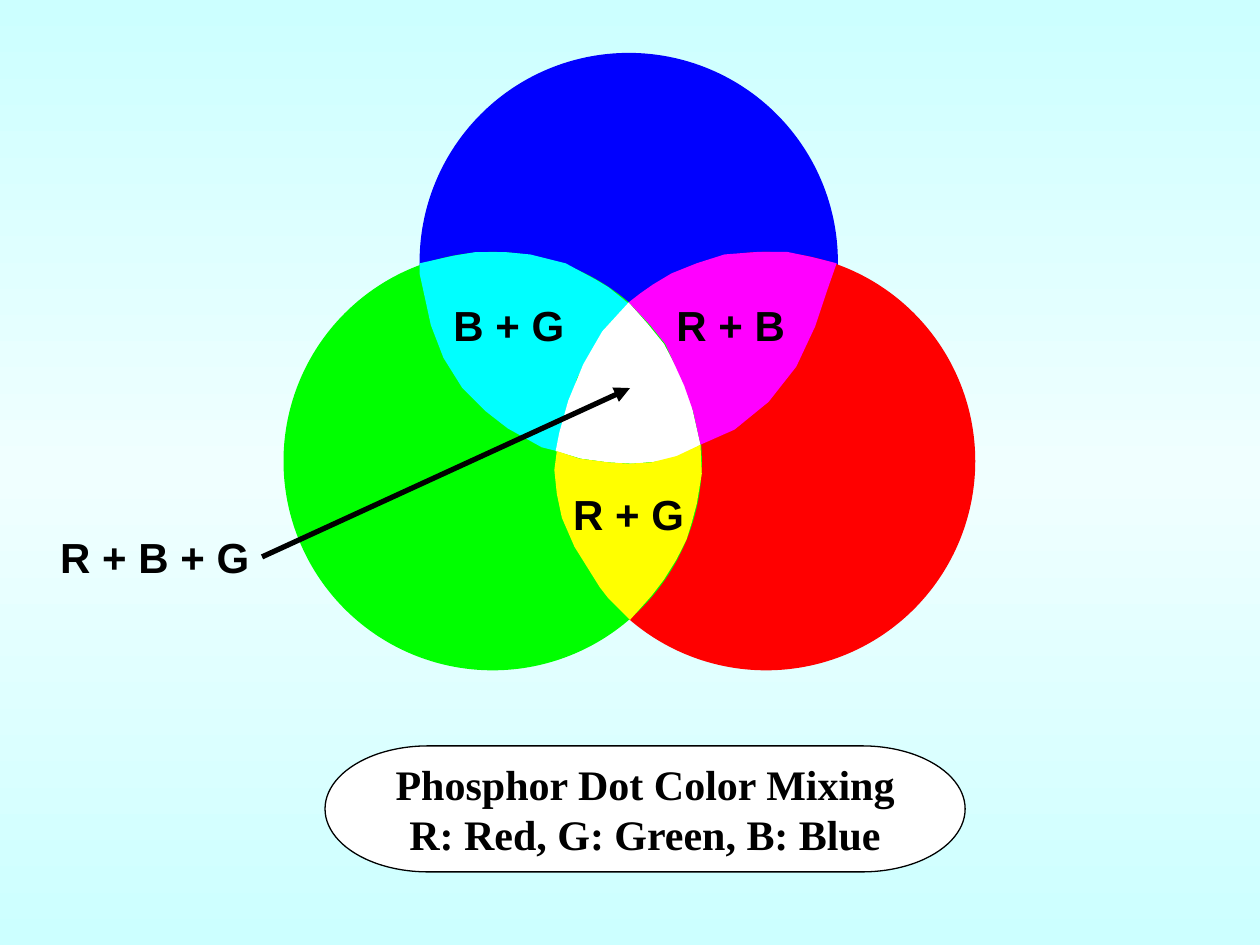
"""Build a slide on mixing the red, green and blue of phosphor dots."""
import copy

import pptx
import pptx.dml.color
import pptx.enum.shapes
import pptx.enum.text
import pptx.util

Inches = pptx.util.Inches
SHAPES = pptx.enum.shapes.MSO_SHAPE

COLORS = {
    "sky": "CCFFFF", "pale": "F0FFFF", "black": "000000", "white": "FFFFFF",
    "blue": "0000FF", "red": "FF0000", "green": "00FF00",
    "cyan": "00FFFF", "magenta": "FF00FF", "yellow": "FFFF00",
}
BACKGROUND = [(0, "sky"), (0.5, "pale"), (1, "sky")]
DIAMETER = 3.32
CIRCLES = [("blue", 3.33, 0.42), ("red", 4.42, 2), ("green", 2.25, 2)]
OVERLAPS = {
    "cyan": [
        (3.33, 2.17), (3.37, 2.35), (3.42, 2.58), (3.52, 2.84), (3.67, 3.08), (3.85, 3.26),
        (4.03, 3.4), (4.3, 3.55), (4.42, 3.58), (4.58, 3), (4.8, 2.61), (4.99, 2.41),
        (4.83, 2.28), (4.73, 2.22), (4.49, 2.09), (4.21, 2.02), (4, 2), (3.78, 2),
        (3.6, 2.03), (3.33, 2.09),
    ],
    "white": [
        (4.99, 2.4), (4.78, 2.63), (4.63, 2.89), (4.51, 3.18), (4.44, 3.43), (4.41, 3.58),
        (4.61, 3.64), (4.83, 3.67), (5.02, 3.68), (5.25, 3.66), (5.41, 3.61), (5.56, 3.53),
        (5.46, 3.09), (5.27, 2.73), (5.14, 2.57),
    ],
    "magenta": [
        (6.64, 2.09), (6.44, 2.04), (6.25, 2), (6.01, 2), (5.75, 2.02), (5.53, 2.09),
        (5.33, 2.17), (5.18, 2.26), (5.08, 2.33), (4.99, 2.4), (5.16, 2.58), (5.28, 2.73),
        (5.43, 3.06), (5.5, 3.26), (5.56, 3.53), (5.83, 3.41), (6.1, 3.19), (6.32, 2.91),
        (6.47, 2.59), (6.57, 2.29),
    ],
    "yellow": [
        (4.42, 3.58), (4.4, 3.73), (4.42, 3.92), (4.46, 4.11), (4.56, 4.34), (4.76, 4.66),
        (4.83, 4.75), (5, 4.92), (5.17, 4.73), (5.27, 4.6), (5.37, 4.44), (5.45, 4.28),
        (5.49, 4.15), (5.53, 4), (5.57, 3.76), (5.56, 3.53), (5.37, 3.62), (5.17, 3.67),
        (4.99, 3.68), (4.83, 3.67), (4.6, 3.64),
    ],
}
LABELS = [
    ("R + B", 5.27, 2.33, 1.06),
    ("B + G", 3.5, 2.33, 1.08),
    ("R + G", 4.45, 3.83, 1.08),
]
MIX_LABEL = ("R + B + G", 0.38, 4.17, 1.7)
ARROW = (2.08, 4.42, 5, 3.08)
CAPTION_BOX = (2.58, 5.92, 5.08, 1)
CAPTION = ["Phosphor Dot Color Mixing", "R: Red, G: Green, B: Blue"]


def rgb(name):
    return pptx.dml.color.RGBColor.from_string(COLORS[name])


def paint(shape, color):
    shape.shadow.inherit = False
    shape.fill.solid()
    shape.fill.fore_color.rgb = rgb(color)
    shape.line.fill.background()


def add_run(paragraph, text, font_name):
    run = paragraph.add_run()
    run.text = text
    run.font.name = font_name
    run.font.size = pptx.util.Pt(24)
    run.font.bold = True
    run.font.color.rgb = rgb("black")


def paint_background(slide):
    fill = slide.background.fill
    fill.gradient()
    fill.gradient_angle = 270
    stop_list = slide.element.xpath(".//a:gsLst")[0]
    stop_list.append(copy.deepcopy(stop_list[-1]))
    for stop, (position, color) in zip(fill.gradient_stops, BACKGROUND):
        stop.position = position
        stop.color.rgb = rgb(color)


def add_overlap(shapes, color, points):
    start, *others = [(Inches(x), Inches(y)) for x, y in points]
    builder = shapes.build_freeform(*start)
    builder.add_line_segments(others, close=True)
    paint(builder.convert_to_shape(), color)


def add_label(shapes, text, left, top, width):
    box = shapes.add_textbox(Inches(left), Inches(top), Inches(width), Inches(0.5))
    frame = box.text_frame
    frame.word_wrap = False
    frame.auto_size = pptx.enum.text.MSO_AUTO_SIZE.SHAPE_TO_FIT_TEXT
    add_run(frame.paragraphs[0], text, "Arial")


def add_arrow(shapes):
    straight = pptx.enum.shapes.MSO_CONNECTOR.STRAIGHT
    arrow = shapes.add_connector(straight, *map(Inches, ARROW))
    arrow.line.color.rgb = rgb("black")
    arrow.line.width = pptx.util.Pt(3)
    line = arrow.line._get_or_add_ln()
    line.append(pptx.oxml.parse_xml(f'<a:tailEnd {pptx.oxml.ns.nsdecls("a")} type="triangle"/>'))
    effects = pptx.oxml.parse_xml(f'<a:effectLst {pptx.oxml.ns.nsdecls("a")}/>')
    line.addnext(effects)


def add_caption(shapes):
    caption = shapes.add_shape(SHAPES.FLOWCHART_TERMINATOR, *map(Inches, CAPTION_BOX))
    paint(caption, "white")
    caption.line.color.rgb = rgb("black")
    caption.line.width = pptx.util.Pt(0.75)
    frame = caption.text_frame
    frame.word_wrap = False
    frame.vertical_anchor = pptx.enum.text.MSO_ANCHOR.MIDDLE
    for index, text in enumerate(CAPTION):
        paragraph = frame.add_paragraph() if index else frame.paragraphs[0]
        paragraph.alignment = pptx.enum.text.PP_ALIGN.CENTER
        add_run(paragraph, text, "Times New Roman")


def main():
    presentation = pptx.Presentation()
    presentation.slide_width = Inches(10)
    presentation.slide_height = Inches(7.5)
    slide = presentation.slides.add_slide(presentation.slide_layouts[6])
    paint_background(slide)
    for color, left, top in CIRCLES:
        box = map(Inches, (left, top, DIAMETER, DIAMETER))
        paint(slide.shapes.add_shape(SHAPES.OVAL, *box), color)
    for color, points in OVERLAPS.items():
        add_overlap(slide.shapes, color, points)
    for label in LABELS:
        add_label(slide.shapes, *label)
    callout = slide.shapes.add_group_shape()
    add_label(callout.shapes, *MIX_LABEL)
    add_arrow(callout.shapes)
    add_caption(slide.shapes)
    presentation.save("out.pptx")


if __name__ == "__main__":
    main()
